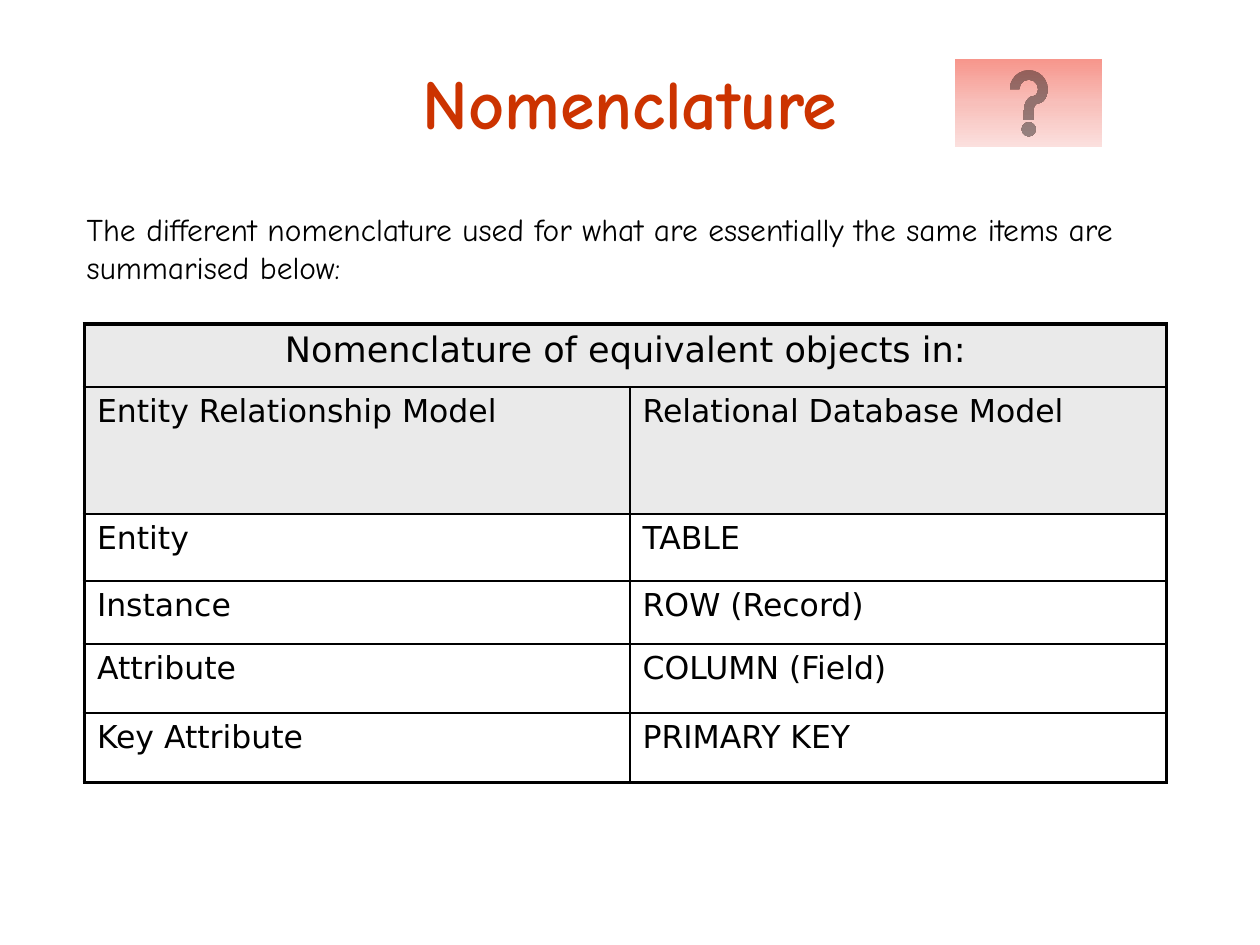
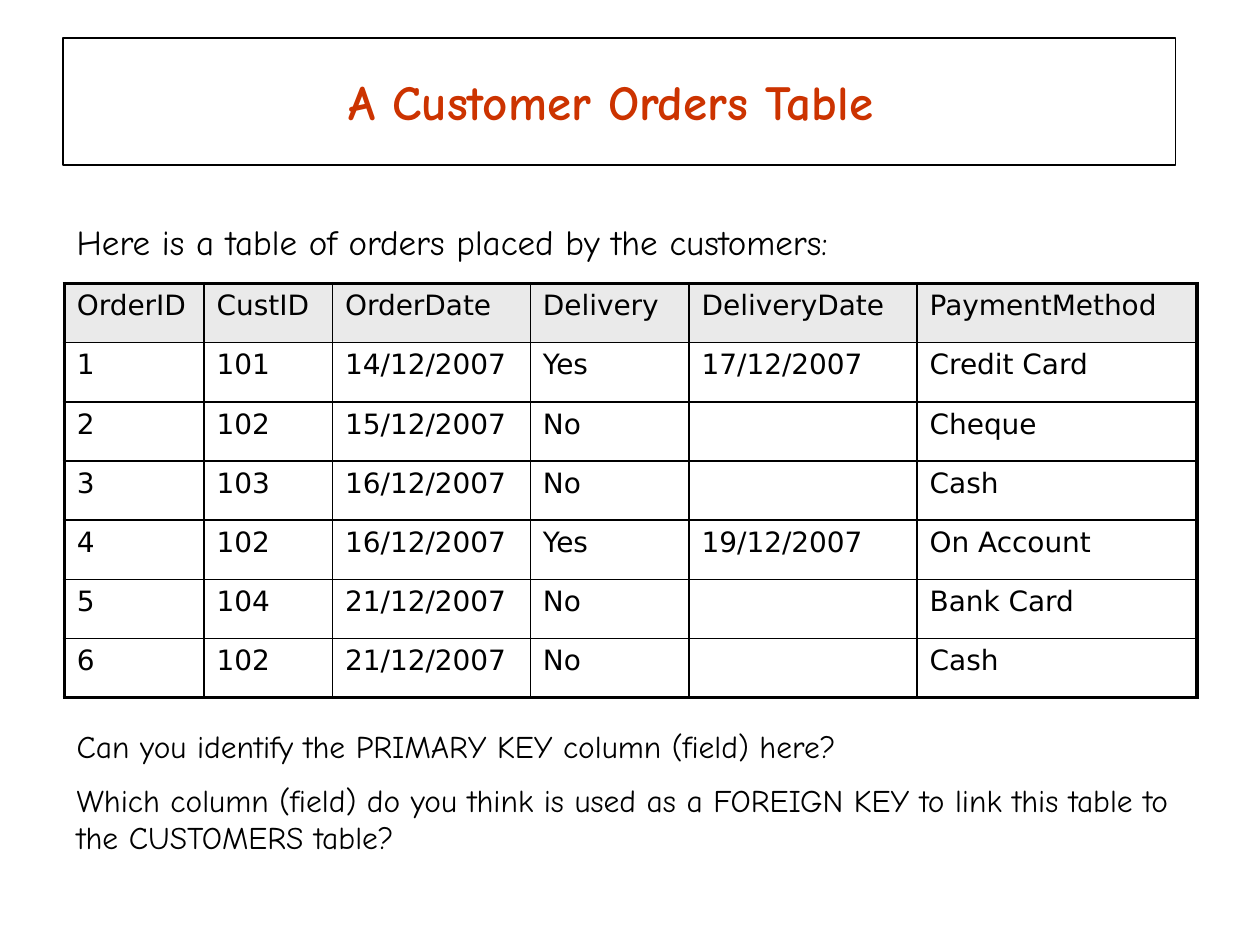
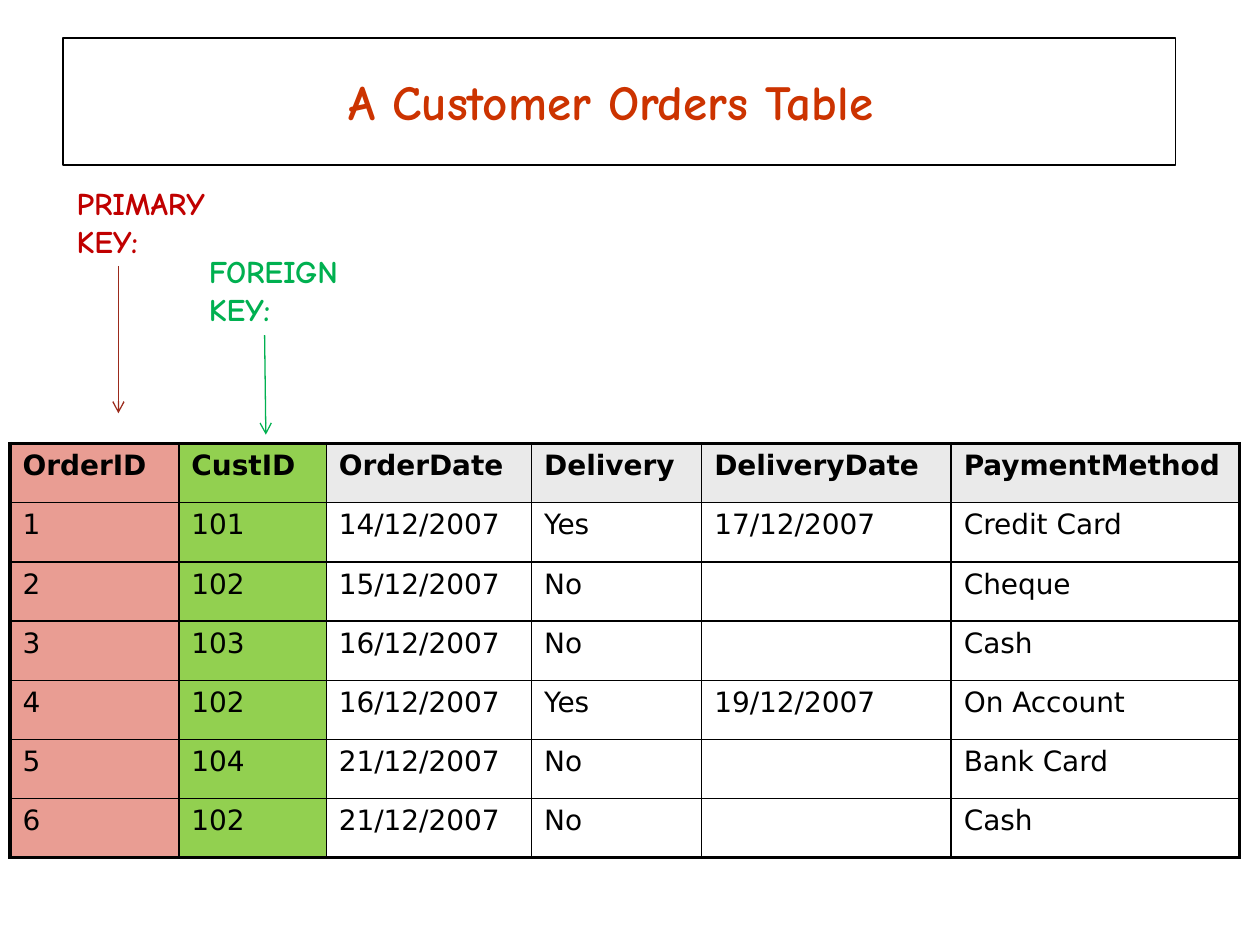
from copy import deepcopy
from dataclasses import dataclass, field

from lxml import etree
from pptx import Presentation
from pptx import util as u
from pptx.dml.color import RGBColor
from pptx.enum import shapes, text
from pptx.oxml import ns

COLORS = {
    "title": "CC3300",
    "ink": "000000",
    "paper": "FFFFFF",
    "header": "EAEAEA",
    "primary_column": "E99D93",
    "foreign_column": "92D050",
    "primary_text": "C00000",
    "primary_arrow": "9B2A1B",
    "foreign": "00B050",
    "help_top": "F7968C",
    "help_middle": "F8BFBA",
    "help_bottom": "FBE0DE",
}
BODY_FONT = "Comic Neue"
TABLE_FONT = "DejaVu Sans"
TITLE_ONLY = 5
OUTER, INNER = 2.25, 1

ORDERS = [
    ("OrderID", "CustID", "OrderDate", "Delivery", "DeliveryDate", "PaymentMethod"),
    ("1", "101", "14/12/2007", "Yes", "17/12/2007", "Credit Card"),
    ("2", "102", "15/12/2007", "No", "", "Cheque"),
    ("3", "103", "16/12/2007", "No", "", "Cash"),
    ("4", "102", "16/12/2007", "Yes", "19/12/2007", "On Account"),
    ("5", "104", "21/12/2007", "No", "", "Bank Card"),
    ("6", "102", "21/12/2007", "No", "", "Cash"),
]
EQUIVALENTS = [
    ("Nomenclature of equivalent objects in:", ""),
    ("Entity Relationship Model", "Relational Database Model"),
    ("Entity", "TABLE"),
    ("Instance", "ROW (Record)"),
    ("Attribute", "COLUMN (Field)"),
    ("Key Attribute", "PRIMARY KEY"),
]


@dataclass
class Grid:
    left: float
    top: float
    widths: list[float]
    heights: list[float]
    rows: list[tuple[str, ...]]
    size: float = 16
    header_rows: int = 1
    bold_header: bool = False
    banner_size: float = 0  # above 0, the first row is one merged, centred cell
    column_fills: dict[int, str] = field(default_factory=dict)


@dataclass
class KeyLabel:
    text: str
    left: float
    top: float
    color: str
    arrow_color: str
    arrow: tuple[float, float, float, float]


KEY_LABELS = [
    KeyLabel("PRIMARY KEY:", 0.51, 1.41, "primary_text", "primary_arrow",
             (0.94, 2.11, 0.94, 3.28)),
    KeyLabel("FOREIGN KEY:", 1.56, 1.95, "foreign", "foreign",
             (2.1, 2.66, 2.11, 3.45)),
]


def rgb(name: str) -> RGBColor:
    return RGBColor.from_string(COLORS[name])


def write(tf, content: str, *, size: float, font: str = BODY_FONT, color: str = "ink",
          bold: bool = False, align=text.PP_ALIGN.LEFT, before: float = 0) -> None:
    """Write one paragraph per line; before is a share of the text size."""
    for i, line in enumerate(content.split("\n")):
        p = tf.add_paragraph() if i else tf.paragraphs[0]
        p.alignment = align
        p.space_before = u.Pt(size * before)
        r = p.add_run()
        r.text = line
        r.font.name = font
        r.font.size = u.Pt(size)
        r.font.bold = bold
        r.font.color.rgb = rgb(color)


def add_slide(prs, title: str, size: float, width: float, framed: bool = False):
    s = prs.slides.add_slide(prs.slide_layouts[TITLE_ONLY])
    sp = s.shapes.title
    sp.left, sp.top = u.Inches(0.5), u.Inches(0.3)
    sp.width, sp.height = u.Inches(width), u.Inches(1.01)
    if framed:
        sp.line.color.rgb = rgb("ink")
        sp.line.width = u.Pt(1)
    tf = sp.text_frame
    tf.word_wrap = True
    tf.auto_size = text.MSO_AUTO_SIZE.NONE
    tf.vertical_anchor = text.MSO_ANCHOR.MIDDLE
    write(tf, title, size=size, color="title", bold=True, align=text.PP_ALIGN.CENTER)
    return s


def add_orders_slide(prs):
    return add_slide(prs, "A Customer Orders Table ", 28, 8.83, framed=True)


def add_text(s, content: str, left: float, top: float, width: float, height: float,
             **style) -> None:
    sp = s.shapes.add_textbox(*map(u.Inches, (left, top, width, height)))
    tf = sp.text_frame
    tf.word_wrap = True
    write(tf, content, before=0.5, **style)


def set_borders(cell, widths: dict[str, float]) -> None:
    """Add cell edges; call before the fill is set, as the schema wants edges first."""
    tc_pr = cell._tc.get_or_add_tcPr()
    for side, width in widths.items():
        ln = etree.SubElement(tc_pr, ns.qn(f"a:ln{side}"), w=str(u.Pt(width)))
        fill = etree.SubElement(ln, ns.qn("a:solidFill"))
        etree.SubElement(fill, ns.qn("a:srgbClr"), val=COLORS["ink"])


def add_grid(s, grid: Grid) -> None:
    n_rows, n_cols = len(grid.rows), len(grid.widths)
    table = s.shapes.add_table(
        n_rows, n_cols, u.Inches(grid.left), u.Inches(grid.top),
        u.Inches(sum(grid.widths)), u.Inches(sum(grid.heights))).table
    table.first_row = table.horz_banding = False
    for column, width in zip(table.columns, grid.widths):
        column.width = u.Inches(width)
    for row, height in zip(table.rows, grid.heights):
        row.height = u.Inches(height)
    if grid.banner_size:
        table.cell(0, 0).merge(table.cell(0, n_cols - 1))

    for i, values in enumerate(grid.rows):
        header = i < grid.header_rows
        for j, value in enumerate(values):
            cell = table.cell(i, j)
            if cell.is_spanned:
                continue
            last_col = j + cell.span_width == n_cols
            set_borders(cell, {
                "L": OUTER if j == 0 else INNER,
                "R": OUTER if last_col else INNER,
                "T": OUTER if i == 0 else INNER,
                "B": OUTER if i == n_rows - 1 else INNER,
            })
            cell.fill.solid()
            cell.fill.fore_color.rgb = rgb(
                grid.column_fills.get(j, "header" if header else "paper"))
            if value:
                banner = cell.is_merge_origin
                write(cell.text_frame, value, font=TABLE_FONT, before=0.2,
                      size=grid.banner_size if banner else grid.size,
                      bold=header and grid.bold_header,
                      align=text.PP_ALIGN.CENTER if banner else text.PP_ALIGN.LEFT)


def add_help_button(s) -> None:
    sp = s.shapes.add_shape(shapes.MSO_SHAPE.ACTION_BUTTON_HELP,
                            *map(u.Inches, (7.58, 0.47, 1.17, 0.7)))
    sp.shadow.inherit = False
    sp.line.fill.background()
    sp.fill.gradient()
    sp.fill.gradient_angle = 270
    stop_list = sp._element.spPr.find(".//" + ns.qn("a:gsLst"))
    stop_list.insert(1, deepcopy(stop_list[0]))
    names = ("help_top", "help_middle", "help_bottom")
    for i, (stop, name) in enumerate(zip(sp.fill.gradient_stops, names)):
        stop.position = i / 2
        stop.color.rgb = rgb(name)


def add_arrow(s, ends: tuple[float, float, float, float], color: str) -> None:
    line = s.shapes.add_connector(shapes.MSO_CONNECTOR.STRAIGHT, *map(u.Inches, ends))
    line.line.color.rgb = rgb(color)
    line.line.width = u.Pt(0.75)
    etree.SubElement(line.line._get_or_add_ln(), ns.qn("a:tailEnd"), type="arrow")
    etree.SubElement(line._element.spPr, ns.qn("a:effectLst"))


def add_nomenclature(prs) -> None:
    s = add_slide(prs, "Nomenclature", 40, 9)
    add_grid(s, Grid(0.67, 2.57, [4.33, 4.26], [0.5, 1.01, 0.53, 0.5, 0.55, 0.55],
                     EQUIVALENTS, size=18, header_rows=2, banner_size=20))
    add_text(s, "The different nomenclature used for what are essentially the same items "
             "are summarised below:", 0.59, 1.62, 8.74, 0.7, size=18)
    add_help_button(s)


def add_order_questions(prs) -> None:
    s = add_orders_slide(prs)
    add_grid(s, Grid(0.51, 2.25, [1.11, 1.02, 1.57, 1.26, 1.81, 2.22],
                     [0.47] * len(ORDERS), ORDERS))
    add_text(s, "Here is a table of orders placed by the customers:",
             0.51, 1.7, 8.98, 0.43, size=20)
    add_text(s, "Can you identify the PRIMARY KEY column (field) here?\n"
             "Which column (field) do you think is used as a FOREIGN KEY to link this "
             "table to the CUSTOMERS table?", 0.51, 5.72, 8.98, 1.15, size=18)


def add_order_keys(prs) -> None:
    s = add_orders_slide(prs)
    add_grid(s, Grid(0.08, 3.52, [1.34, 1.17, 1.63, 1.35, 1.98, 2.29],
                     [0.47] * len(ORDERS), ORDERS, bold_header=True,
                     column_fills={0: "primary_column", 1: "foreign_column"}))
    for label in KEY_LABELS:
        add_text(s, label.text, label.left, label.top, 1.52, 0.71,
                 size=18, color=label.color, bold=True)
        add_arrow(s, label.arrow, label.arrow_color)


def main() -> None:
    prs = Presentation()
    prs.slide_width, prs.slide_height = u.Inches(10), u.Inches(7.5)
    add_nomenclature(prs)
    add_order_questions(prs)
    add_order_keys(prs)
    prs.save("out.pptx")


if __name__ == "__main__":
    main()
